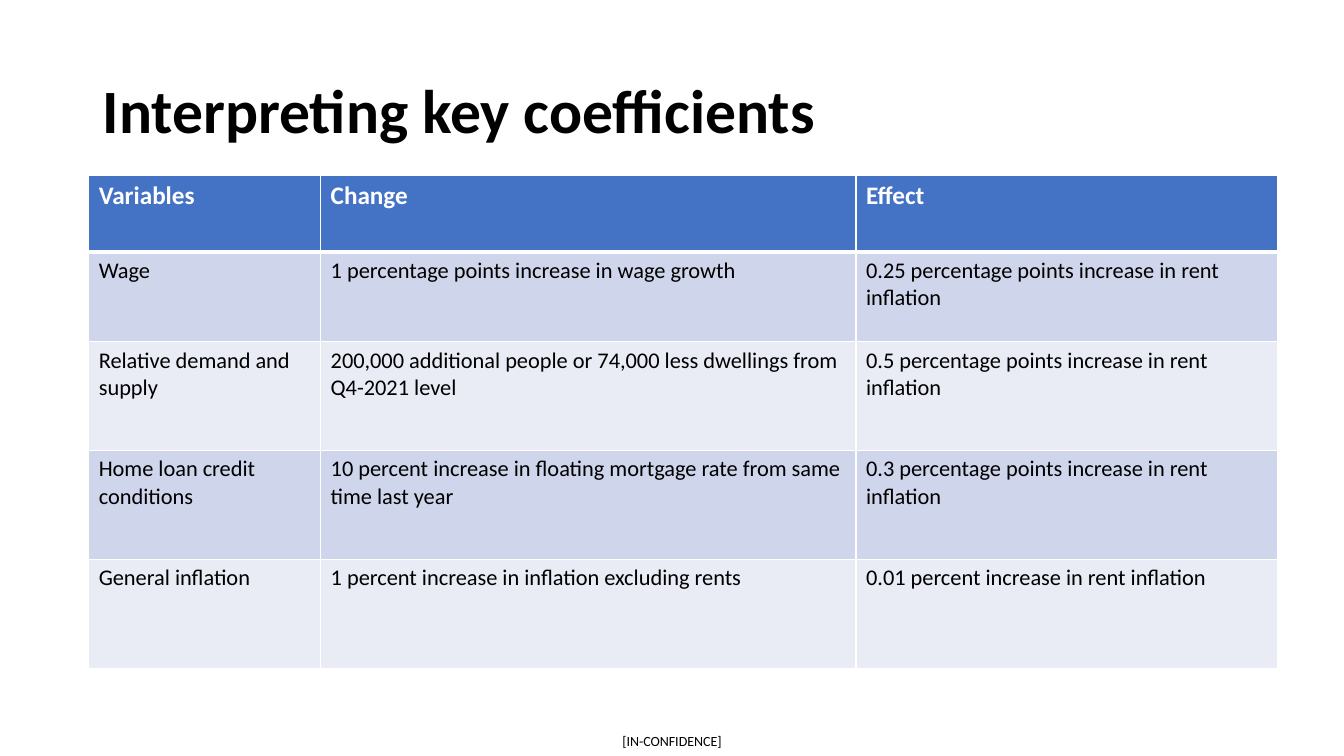
from dataclasses import dataclass

from lxml import etree
from pptx import Presentation
from pptx import util as u
from pptx.dml.color import RGBColor
from pptx.enum import text
from pptx.oxml import ns

SCALE = 9144
FONT = "Calibri"
WHITE, BLACK, BLUE = "FFFFFF", "000000", "4472C4"
BANDS = ("CFD5EA", "E9EBF5")
COLUMN_WIDTHS = (230, 531, 418)


@dataclass(frozen=True)
class Row:
    height: int
    texts: tuple[str, str, str]


@dataclass(frozen=True)
class Label:
    content: str
    left: int
    top: int
    width: int
    height: int
    size: int
    bold: bool
    align: text.PP_ALIGN
    inset_x: int
    inset_y: int
    line_spacing: float


ROWS = (
    Row(76, ("Variables", "Change", "Effect")),
    Row(89, ("Wage", "1 percentage points increase in wage growth",
             "0.25 percentage points increase in rent inflation")),
    Row(108, ("Relative demand and supply",
              "200,000 additional people or 74,000 less dwellings from Q4-2021 level",
              "0.5 percentage points increase in rent inflation")),
    Row(108, ("Home loan credit conditions",
              "10 percent increase in floating mortgage rate from same time last year",
              "0.3 percentage points increase in rent inflation")),
    Row(108, ("General inflation", "1 percent increase in inflation excluding rents",
              "0.01 percent increase in rent inflation")),
)

LABELS = (
    Label("[IN-CONFIDENCE]", 601, 721, 131, 29, 10, False, text.PP_ALIGN.CENTER, 0, 0, 1.0),
    Label("Interpreting key coefficients", 92, 40, 1150, 145, 44, True,
          text.PP_ALIGN.LEFT, 10, 5, 0.9),
)


def px(length: int) -> u.Emu:
    return u.Emu(length * SCALE)


def colour(value: str) -> RGBColor:
    return RGBColor.from_string(value)


def write(frame, content: str, *, size: int, ink: str = BLACK, bold: bool = False,
          align: text.PP_ALIGN = text.PP_ALIGN.LEFT, line_spacing: float = 1.0) -> None:
    frame.word_wrap = True
    para = frame.paragraphs[0]
    para.alignment = align
    para.line_spacing = line_spacing
    span = para.add_run()
    span.text = content
    span.font.name = FONT
    span.font.size = u.Pt(size)
    span.font.bold = bold
    span.font.color.rgb = colour(ink)


def add_label(page, label: Label) -> None:
    box = page.shapes.add_textbox(px(label.left), px(label.top), px(label.width), px(label.height))
    frame = box.text_frame
    frame.vertical_anchor = text.MSO_ANCHOR.MIDDLE
    frame.margin_left = frame.margin_right = px(label.inset_x)
    frame.margin_top = frame.margin_bottom = px(label.inset_y)
    write(frame, label.content, size=label.size, bold=label.bold,
          align=label.align, line_spacing=label.line_spacing)


def add_borders(cell, widths: dict[str, int]) -> None:
    properties = cell._tc.get_or_add_tcPr()
    for position, (side, width) in enumerate(widths.items()):
        line = etree.Element(ns.qn(f"a:ln{side}"), w=str(u.Pt(width)))
        fill = etree.SubElement(line, ns.qn("a:solidFill"))
        etree.SubElement(fill, ns.qn("a:srgbClr"), val=WHITE)
        properties.insert(position, line)


def add_coefficients(page, left: int, top: int) -> None:
    width, height = sum(COLUMN_WIDTHS), sum(row.height for row in ROWS)
    table = page.shapes.add_table(len(ROWS), len(COLUMN_WIDTHS), px(left), px(top),
                                  px(width), px(height)).table
    for column, column_width in zip(table.columns, COLUMN_WIDTHS):
        column.width = px(column_width)
    for index, row in enumerate(ROWS):
        table.rows[index].height = px(row.height)
        header = index == 0
        for cell, content in zip(table.rows[index].cells, row.texts):
            cell.fill.solid()
            cell.fill.fore_color.rgb = colour(BLUE if header else BANDS[(index - 1) % 2])
            add_borders(cell, {"L": 1, "R": 1, "T": 3 if index == 1 else 1, "B": 3 if header else 1})
            write(cell.text_frame, content, size=18 if header else 16,
                  ink=WHITE if header else BLACK, bold=header)


def main() -> None:
    deck = Presentation()
    deck.slide_width, deck.slide_height = px(1333), px(750)
    page = deck.slides.add_slide(deck.slide_layouts[6])
    for label in LABELS:
        add_label(page, label)
    add_coefficients(page, 88, 174)
    deck.save("out.pptx")


if __name__ == "__main__":
    main()
